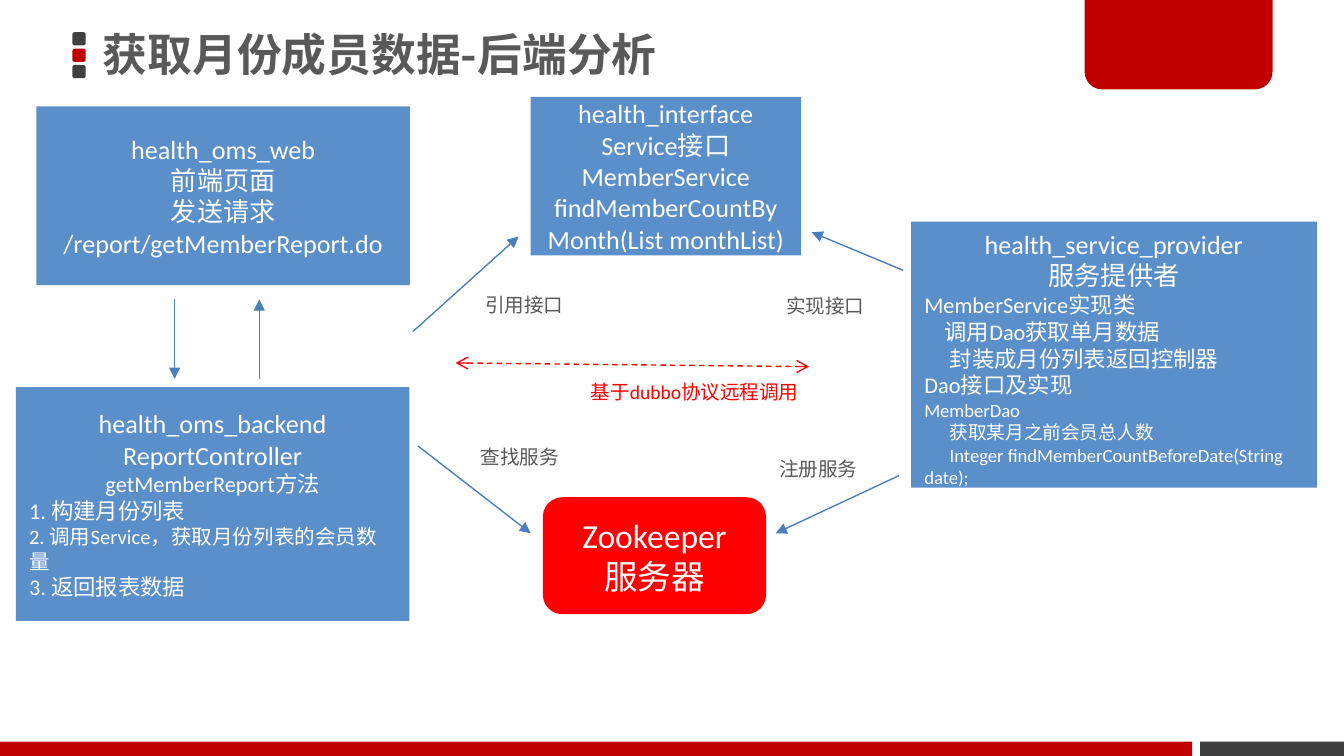
from pptx import Presentation
from pptx.dml.color import RGBColor
from pptx.enum.dml import MSO_LINE
from pptx.enum.shapes import MSO_CONNECTOR, MSO_SHAPE
from pptx.enum.text import MSO_ANCHOR, MSO_AUTO_SIZE, PP_ALIGN
from pptx.oxml.ns import qn
from pptx.util import Cm, Pt
from lxml.etree import SubElement

WHITE = RGBColor(0xFF, 0xFF, 0xFF)
BLUE = RGBColor(0x5B, 0x8F, 0xC9)
ARROW_BLUE = RGBColor(0x4B, 0x7E, 0xBC)
RED = RGBColor(0xFF, 0x00, 0x00)
DARK_RED = RGBColor(0xC0, 0x00, 0x00)
DARK_GREY = RGBColor(0x40, 0x40, 0x40)
TEXT_GREY = RGBColor(0x59, 0x59, 0x59)

LATIN, CJK = "Calibri", "Noto Sans CJK SC"
CENTER, LEFT = PP_ALIGN.CENTER, PP_ALIGN.LEFT

# Module boxes: bounds in cm, anchor, lines of (text, size, alignment, first-line indent in cm)
MODULES = [
    ((0.3, 7.32, 7.44, 4.42), MSO_ANCHOR.MIDDLE, [
        ("health_oms_backend", 14, CENTER, 0),
        ("ReportController", 14, CENTER, 0),
        ("getMemberReport方法", 12, CENTER, 0),
        ("1. 构建月份列表", 12, LEFT, 0),
        ("2. 调用Service，获取月份列表的会员数量", 11, LEFT, 0),
        ("3. 返回报表数据", 12, LEFT, 0),
    ]),
    ((17.22, 4.19, 7.67, 5.03), MSO_ANCHOR.TOP, [
        ("health_service_provider", 14, CENTER, 0),
        ("服务提供者", 14, CENTER, 0),
        ("MemberService实现类", 12, LEFT, 0),
        ("调用Dao获取单月数据", 12, LEFT, 0.38),
        ("封装成月份列表返回控制器", 12, LEFT, 0.48),
        ("Dao接口及实现", 12, LEFT, 0),
        ("MemberDao", 10, LEFT, 0),
        ("获取某月之前会员总人数", 10, LEFT, 0.48),
        ("Integer findMemberCountBeforeDate(String date);", 10, LEFT, 0.48),
    ]),
    ((10.03, 1.83, 5.11, 3), MSO_ANCHOR.MIDDLE, [
        (text, 14, CENTER, 0) for text in (
            "health_interface", "Service接口", "MemberService",
            "findMemberCountByMonth(List monthList)")
    ]),
    ((0.69, 2.01, 7.06, 3.38), MSO_ANCHOR.MIDDLE, [
        (text, 14, CENTER, 0) for text in (
            "health_oms_web", "前端页面", "发送请求", "/report/getMemberReport.do")
    ]),
]

# Arrows as (start, end) in cm
CALLS = [
    ((17.07, 5.11), (15.34, 4.39)),
    ((7.8, 6.27), (9.8, 4.47)),
    ((7.9, 8.43), (10.03, 10.08)),
    ((16.99, 8.99), (14.66, 10.08)),
    ((3.3, 5.66), (3.3, 7.16)),
    ((4.9, 7.16), (4.9, 5.66)),
]

CALL_LABELS = [
    ("注册服务", 14.48, 8.51),
    ("查找服务", 8.84, 8.28),
    ("实现接口", 14.61, 5.44),
    ("引用接口", 8.92, 5.41),
]


def apply_format(target, values):
    for name, value in values.items():
        setattr(target, name, value)


def add_block(slide, kind, bounds, color):
    block = slide.shapes.add_shape(kind, *map(Cm, bounds))
    block.shadow.inherit = False
    block.fill.solid()
    block.fill.fore_color.rgb = color
    block.line.fill.background()
    return block


def write_lines(frame, lines, color, font=LATIN, bold=False):
    for number, (text, size, alignment, indent) in enumerate(lines):
        paragraph = frame.add_paragraph() if number else frame.paragraphs[0]
        paragraph.alignment = alignment
        if indent:
            paragraph._p.get_or_add_pPr().set("indent", str(Cm(indent)))
        run = paragraph.add_run()
        run.text = text
        apply_format(run.font, {"name": font, "size": Pt(size), "bold": bold})
        run.font.color.rgb = color
        SubElement(run._r.get_or_add_rPr(), qn("a:ea"), typeface=CJK)


def add_module(slide, kind, bounds, color, anchor, lines):
    frame = add_block(slide, kind, bounds, color).text_frame
    apply_format(frame, {"word_wrap": True, "vertical_anchor": anchor})
    write_lines(frame, lines, WHITE)


def add_label(slide, text, bounds, color, wrap=False):
    frame = slide.shapes.add_textbox(*map(Cm, bounds)).text_frame
    apply_format(frame, {"word_wrap": wrap, "auto_size": MSO_AUTO_SIZE.SHAPE_TO_FIT_TEXT})
    write_lines(frame, [(text, 10.5, LEFT, 0)], color)


def add_arrow(slide, start, end, color, ends, dash=None):
    arrow = slide.shapes.add_connector(MSO_CONNECTOR.STRAIGHT, *map(Cm, start + end))
    arrow.line.color.rgb = color
    apply_format(arrow.line, {"width": Pt(0.75), "dash_style": dash})
    for tag, head in ends.items():
        SubElement(arrow.line._get_or_add_ln(), qn(tag), type=head)
    SubElement(arrow._element.spPr, qn("a:effectLst"))


def add_frame(slide):
    # Title marker
    for row, color in enumerate((DARK_GREY, DARK_RED, DARK_GREY)):
        add_block(slide, MSO_SHAPE.ROUNDED_RECTANGLE,
                  (1.37, 0.61 + 0.31 * row, 0.25, 0.25), color)

    # Footer bars and corner tab
    add_block(slide, MSO_SHAPE.RECTANGLE, (22.68, 14.02, 2.72, 0.27), DARK_GREY)
    tab = add_block(slide, MSO_SHAPE.ROUND_2_SAME_RECTANGLE,
                    (20.5, -0.05, 3.55, 1.74), DARK_RED)
    tab.adjustments[0], tab.adjustments[1] = 0, 0.19
    add_block(slide, MSO_SHAPE.RECTANGLE, (0, 14.02, 22.53, 0.27), DARK_RED)


def add_title(slide, text):
    frame = slide.shapes.add_textbox(*map(Cm, (1.75, -0.05, 18.16, 2.26))).text_frame
    apply_format(frame, {
        "word_wrap": True, "vertical_anchor": MSO_ANCHOR.MIDDLE,
        "margin_left": Cm(0.19), "margin_right": Cm(0.19),
        "margin_top": Cm(0.1), "margin_bottom": Cm(0.1),
    })
    write_lines(frame, [(text, 24, LEFT, 0)], TEXT_GREY, CJK, bold=True)
    frame.paragraphs[0].line_spacing = 0.9


def main():
    deck = Presentation()
    apply_format(deck, {"slide_width": Cm(25.4), "slide_height": Cm(14.29)})
    slide = deck.slides.add_slide(deck.slide_layouts[6])

    add_frame(slide)
    add_title(slide, "获取月份成员数据-后端分析")

    # Modules and registry
    for bounds, anchor, lines in MODULES:
        add_module(slide, MSO_SHAPE.RECTANGLE, bounds, BLUE, anchor, lines)
    add_module(slide, MSO_SHAPE.ROUNDED_RECTANGLE, (10.26, 9.4, 4.22, 2.21), RED,
               MSO_ANCHOR.MIDDLE,
               [("Zookeeper", 18, CENTER, 0), ("服务器", 18, CENTER, 0)])

    # Calls between modules
    for start, end in CALLS:
        add_arrow(slide, start, end, ARROW_BLUE, {"a:tailEnd": "triangle"})
    for text, left, top in CALL_LABELS:
        add_label(slide, text, (left, top, 2.01, 0.71), TEXT_GREY)

    # Remote call
    add_arrow(slide, (8.61, 6.86), (15.29, 6.93), RED,
              {"a:headEnd": "arrow", "a:tailEnd": "arrow"}, MSO_LINE.DASH)
    add_label(slide, "基于dubbo协议远程调用", (10.92, 7.06, 4.5, 0.71), RED, wrap=True)

    deck.save("out.pptx")


if __name__ == "__main__":
    main()
